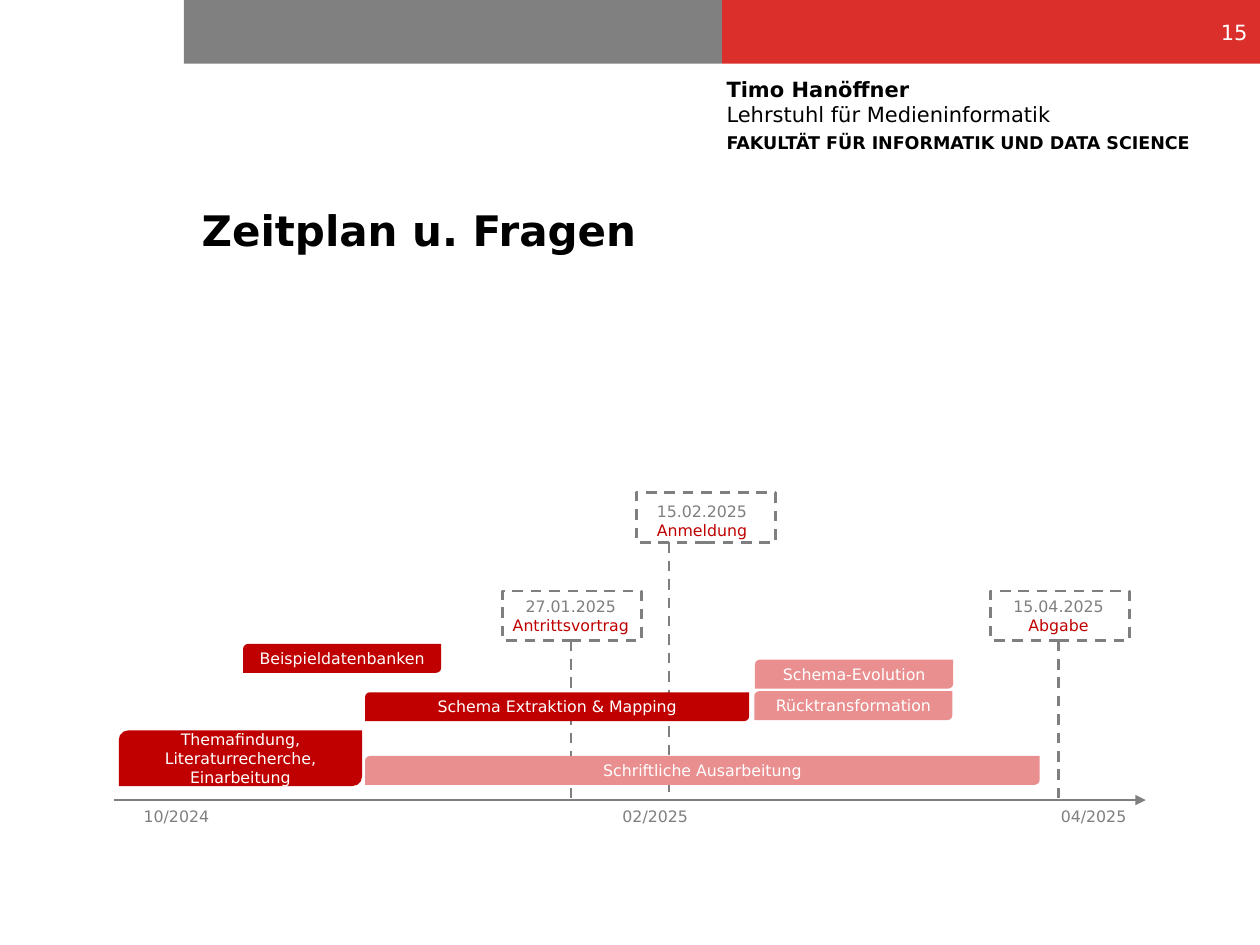
"""Build a project schedule slide with a time axis, task bars and milestones."""
import dataclasses

import lxml.etree
import pptx
import pptx.dml.color
import pptx.enum.dml
import pptx.enum.shapes
import pptx.enum.text
import pptx.oxml.ns
import pptx.util

Pt = pptx.util.Pt
RGB = pptx.dml.color.RGBColor.from_string
SHAPE = pptx.enum.shapes.MSO_SHAPE
ALIGN = pptx.enum.text.PP_ALIGN
ANCHOR = pptx.enum.text.MSO_ANCHOR
FIT = pptx.enum.text.MSO_AUTO_SIZE


@dataclasses.dataclass(frozen=True)
class Theme:
    """Colours, font and type sizes of the slide."""
    font: str = "DejaVu Sans"
    black: str = "000000"
    white: str = "FFFFFF"
    band_gray: str = "808080"
    band_red: str = "DA2F2B"
    gray: str = "7F7F7F"
    done: str = "C00000"
    planned: str = "E98F8F"
    title: int = 24
    header: int = 12
    faculty: int = 10
    label: int = 9
    line: float = 1.5


THEME = Theme()
AXIS_Y = 457.2
BAR_H = 16.5
LABELS = [("10/2024", 68.4), ("02/2025", 342), ("04/2025", 592.5)]
MILESTONES = [
    ("27.01.2025", "Antrittsvortrag", 287.3, 337.7, 282.2, 337.7, 326.2),
    ("15.02.2025", "Anmeldung", 363.6, 281.5, 357.1, 283, 382.3),
    ("15.04.2025", "Abgabe", 565.9, 337.7, 560.9, 337.7, 604.8),
]
BARS = [
    ("Themafindung, Literaturrecherche, Einarbeitung", 67.9, 417.4, 139, 31.8, THEME.done),
    ("Schema-Evolution", 431.4, 377, 113.3, BAR_H, THEME.planned),
    ("Schriftliche Ausarbeitung", 208.6, 432, 385.5, BAR_H, THEME.planned),
    ("Schema Extraktion & Mapping", 208.6, 395.6, 219.5, BAR_H, THEME.done),
    ("Beispieldatenbanken", 138.9, 368, 113.2, BAR_H, THEME.done),
    ("Rücktransformation", 431, 395, 113.2, BAR_H, THEME.planned),
]


def style(p, size, color, align=ALIGN.LEFT, bold=False):
    """Set the font and alignment of a paragraph."""
    p.alignment = align
    p.font.name = THEME.font
    p.font.size = Pt(size)
    p.font.bold = bold
    p.font.color.rgb = RGB(color)


def add_block(slide, kind, x, y, w, h, fill=None):
    """Add a filled shape, or a dashed frame if no fill is given."""
    sp = slide.shapes.add_shape(kind, Pt(x), Pt(y), Pt(w), Pt(h))
    sp.shadow.inherit = False
    if fill:
        sp.fill.solid()
        sp.fill.fore_color.rgb = RGB(fill)
        sp.line.fill.background()
    else:
        sp.fill.background()
        style_line(sp.line, dashed=True)
    return sp


def style_line(line, dashed):
    """Give a line the gray colour and common width."""
    line.color.rgb = RGB(THEME.gray)
    line.width = Pt(THEME.line)
    if dashed:
        line.dash_style = pptx.enum.dml.MSO_LINE.DASH


def add_line(slide, x1, y1, x2, y2, dashed=False, arrow=False):
    """Add a straight connector."""
    cxn = slide.shapes.add_connector(
        pptx.enum.shapes.MSO_CONNECTOR.STRAIGHT, Pt(x1), Pt(y1), Pt(x2), Pt(y2))
    style_line(cxn.line, dashed)
    qn = pptx.oxml.ns.qn
    if arrow:
        lxml.etree.SubElement(cxn.line._get_or_add_ln(), qn("a:tailEnd"), type="triangle")
    lxml.etree.SubElement(cxn._element.spPr, qn("a:effectLst"))


def add_text(slide, x, y, w, h, rows, size, align=ALIGN.CENTER, fit=FIT.SHAPE_TO_FIT_TEXT):
    """Add a text box with one paragraph for each (text, colour) row."""
    sp = slide.shapes.add_textbox(Pt(x), Pt(y), Pt(w), Pt(h))
    tf = sp.text_frame
    tf.word_wrap = True
    tf.auto_size = fit
    for i, (text, color) in enumerate(rows):
        p = tf.add_paragraph() if i else tf.paragraphs[0]
        p.add_run().text = text
        style(p, size, color, align)
    return tf


def add_header(slide):
    """Add the two bands, the sender details and the page number."""
    for x, color in ((105.1, THEME.band_gray), (412.6, THEME.band_red)):
        add_block(slide, SHAPE.RECTANGLE, x, 0, 307.4, 36.4, color)
    rows = [("Timo Hanöffner", THEME.black),
            ("FAKULTÄT FÜR INFORMATIK UND DATA SCIENCE", THEME.black)]
    tf = add_text(slide, 415.2, 43.5, 291, 67.7, rows, THEME.header, ALIGN.LEFT, FIT.NONE)
    tf.margin_left = tf.margin_top = tf.margin_right = tf.margin_bottom = 0
    sender, faculty = tf.paragraphs
    sender.runs[0].font.bold = True
    sender.add_line_break()
    sender.add_run().text = "Lehrstuhl für Medieninformatik"
    sender.space_after = faculty.space_after = Pt(3)
    style(faculty, THEME.faculty, THEME.black, bold=True)
    tf = add_text(slide, 558, 3.8, 162, 28.8, [("15", THEME.white)],
                  THEME.header, ALIGN.RIGHT, FIT.NONE)
    tf.vertical_anchor = ANCHOR.MIDDLE


def set_title(slide, text):
    """Place and format the title placeholder."""
    sp = slide.shapes.title
    sp.left, sp.top, sp.width, sp.height = Pt(108), Pt(116.6), Pt(566), Pt(54.7)
    tf = sp.text_frame
    tf.text = text
    tf.auto_size = FIT.NONE
    tf.vertical_anchor = ANCHOR.TOP
    p = tf.paragraphs[0]
    p.line_spacing = 0.9
    style(p, THEME.title, THEME.black, bold=True)


def add_milestone(slide, date, name, box_x, box_y, text_x, text_y, line_x):
    """Add a dashed box with a date, tied to the axis."""
    box_h = 28.4
    add_line(slide, line_x, box_y + box_h, line_x, AXIS_Y, dashed=True)
    add_block(slide, SHAPE.RECTANGLE, box_x, box_y, 79.4, box_h)
    add_text(slide, text_x, text_y, 88, 28.8,
             [(date, THEME.gray), (name, THEME.done)], THEME.label)


def add_bar(slide, text, x, y, w, h, fill):
    """Add a task bar with its name in the middle."""
    sp = add_block(slide, SHAPE.ROUND_2_DIAG_RECTANGLE, x, y, w, h, fill)
    tf = sp.text_frame
    tf.text = text
    tf.word_wrap = True
    tf.vertical_anchor = ANCHOR.MIDDLE
    style(tf.paragraphs[0], THEME.label, THEME.white, ALIGN.CENTER)


def main():
    """Build and save the slide."""
    prs = pptx.Presentation()
    prs.slide_width, prs.slide_height = Pt(720), Pt(540)
    slide = prs.slides.add_slide(prs.slide_layouts.get_by_name("Title Only"))
    add_header(slide)
    set_title(slide, "Zeitplan u. Fragen")
    add_line(slide, 65.3, AXIS_Y, 654.7, AXIS_Y, arrow=True)
    for text, x in LABELS:
        add_text(slide, x, AXIS_Y, 64.8, 18, [(text, THEME.gray)], THEME.label)
    for milestone in MILESTONES:
        add_milestone(slide, *milestone)
    for bar in BARS:
        add_bar(slide, *bar)
    prs.save("out.pptx")


if __name__ == "__main__":
    main()
